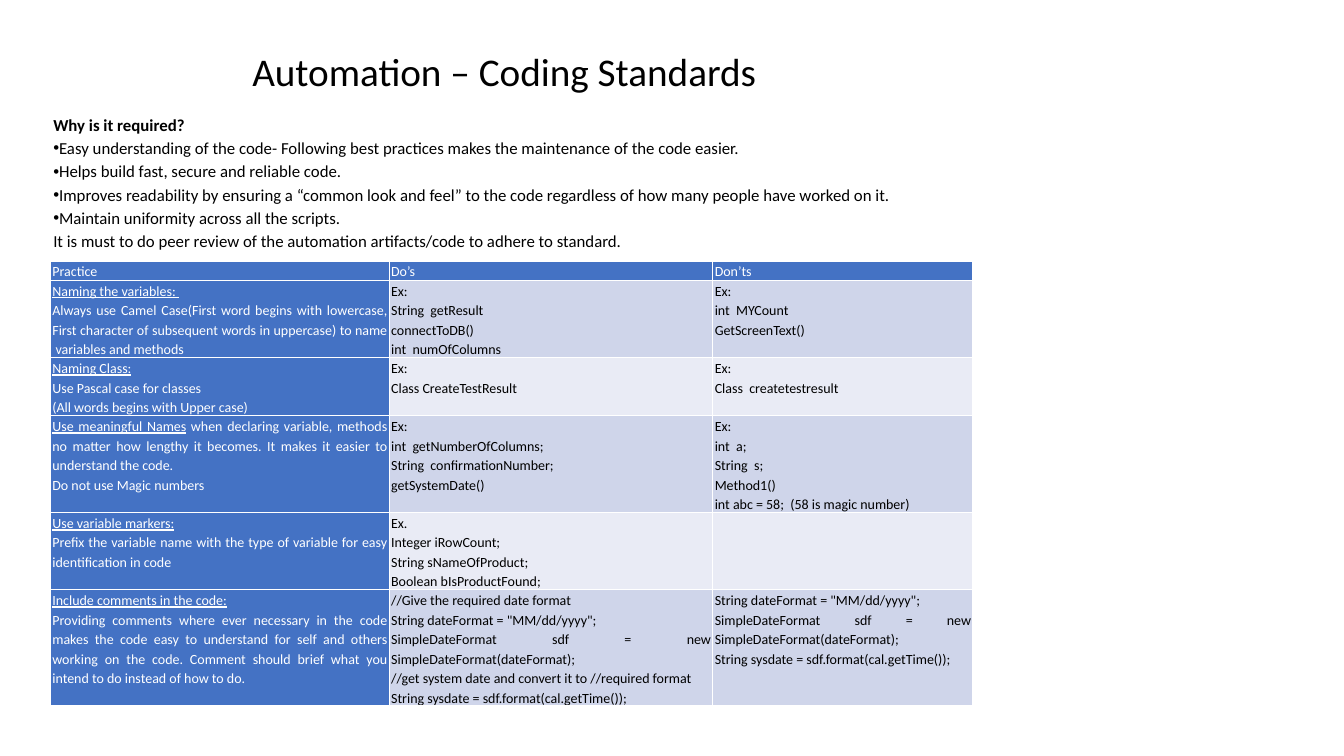
from lxml import etree
from pptx import Presentation, util as u
from pptx.dml.color import RGBColor
from pptx.enum import text
from pptx.oxml.ns import qn

WIDTH, HEIGHT = 13.33, 7.5
BLACK, WHITE = "000000", "FFFFFF"
BLUE, BANDS = "4472C4", ("CFD5EA", "E9EBF5")
JUSTIFY, CENTER = text.PP_ALIGN.JUSTIFY, text.PP_ALIGN.CENTER
LINE_HEIGHT = 0.19

TITLE = "Automation – Coding Standards"
QUESTION = "Why is it required?"
REASONS = [
    "Easy understanding of the code- Following best practices makes the maintenance of the code easier.",
    "Helps build fast, secure and reliable code.",
    "Improves readability by ensuring a “common look and feel” to the code "
    "regardless of how many people have worked on it.",
    "Maintain uniformity across all the scripts.",
]
REVIEW_RULE = "It is must to do peer review of the automation artifacts/code to adhere to standard."

COLUMNS = {"Practice": 3.36, "Do’s": 3.21, "Don’ts": 2.58}
# Each practice: lines it takes, underlined lead, advice, do's, don'ts.
PRACTICES = [
    (4, "Naming the variables:\u00a0",
     "\nAlways use Camel Case(First word begins with lowercase, First character of "
     "subsequent words in uppercase) to name \u00a0variables and methods",
     "Ex:\nString  getResult\nconnectToDB()\nint  numOfColumns",
     "Ex:\nint  MYCount\nGetScreenText()"),
    (3, "Naming Class:",
     "\nUse Pascal case for classes\n(All words begins with Upper case)",
     "Ex:\nClass CreateTestResult",
     "Ex:\nClass  createtestresult"),
    (5, "Use meaningful Names",
     " when declaring variable, methods no matter how lengthy it becomes. "
     "It makes it easier to understand the code.\nDo not use Magic numbers",
     "Ex:\nint  getNumberOfColumns;\nString  confirmationNumber;\ngetSystemDate()",
     "Ex:\nint  a;\nString  s;\nMethod1()\nint abc = 58;  (58 is magic number)"),
    (4, "Use variable markers:",
     "\nPrefix the variable name with the type of variable for easy identification in code",
     "Ex.\nInteger iRowCount;\nString sNameOfProduct;\nBoolean bIsProductFound;",
     ""),
    (6, "Include comments in the code:",
     "\nProviding comments where ever necessary in the code makes the code easy to "
     "understand for self and others working on the code. Comment should brief what "
     "you intend to do instead of how to do.",
     '//Give the required date format\nString dateFormat = "MM/dd/yyyy";\n'
     "SimpleDateFormat sdf = new SimpleDateFormat(dateFormat);\n"
     "//get system date and convert it to //required format\n"
     "String sysdate = sdf.format(cal.getTime());",
     'String dateFormat = "MM/dd/yyyy";\n'
     "SimpleDateFormat sdf = new SimpleDateFormat(dateFormat);\n"
     "String sysdate = sdf.format(cal.getTime());"),
]


def apply(target, **values):
    """Set every given attribute on the target."""
    for name, value in values.items():
        setattr(target, name, value)


def paint(color_format, color):
    """Give a colour format an RGB colour from a hex string."""
    color_format.rgb = RGBColor.from_string(color)


def write(paragraph, words, size, color=BLACK, **font):
    """Add a formatted run to a paragraph."""
    run = paragraph.add_run()
    run.text = words
    apply(run.font, **{"name": "Calibri", "size": u.Pt(size), "bold": False, **font})
    paint(run.font.color, color)


def next_paragraph(frame, first, align=JUSTIFY, spacing=1.15, before=0):
    """Return the first or a new paragraph, with its spacing set."""
    paragraph = frame.paragraphs[0] if first else frame.add_paragraph()
    apply(paragraph, alignment=align, line_spacing=spacing,
          space_before=u.Pt(before), space_after=u.Pt(0))
    return paragraph


def add_bullet(paragraph):
    """Put a bullet directly in front of the paragraph's text."""
    properties = paragraph._p.get_or_add_pPr()
    apply_xml = {"marL": "0", "indent": "0"}
    for name, value in apply_xml.items():
        properties.set(name, value)
    etree.SubElement(properties, qn("a:buFont")).set("typeface", "Arial")
    etree.SubElement(properties, qn("a:buChar")).set("char", "•")


def add_title(slide):
    """Place and fill the title placeholder."""
    title = slide.shapes.title
    apply(title, left=u.Inches(0.5), top=u.Inches(0.3),
          width=u.Inches(9), height=u.Inches(0.69))
    apply(title.text_frame, vertical_anchor=text.MSO_ANCHOR.BOTTOM,
          auto_size=text.MSO_AUTO_SIZE.NONE, word_wrap=True)
    write(next_paragraph(title.text_frame, True, CENTER, 0.9), TITLE, 28)


def add_reasons(slide):
    """Add the question, its bulleted reasons and the review rule."""
    box = slide.shapes.add_textbox(*map(u.Inches, (0.43, 1.11, 9.22, 1.35)))
    frame = box.text_frame
    frame.word_wrap = True
    write(next_paragraph(frame, True, spacing=0.9, before=10), QUESTION, 12, bold=True)
    for reason in REASONS:
        paragraph = next_paragraph(frame, False)
        add_bullet(paragraph)
        write(paragraph, reason, 12)
    write(next_paragraph(frame, False), REVIEW_RULE, 12)


def fill_cell(cell, words, fill, color, lead=""):
    """Fill a cell with lines of text, after an optional underlined lead."""
    cell.fill.solid()
    paint(cell.fill.fore_color, fill)
    apply(cell, margin_left=u.Inches(0.02), margin_right=u.Inches(0.02),
          margin_top=0, margin_bottom=0)
    for index, line in enumerate(words.split("\n")):
        paragraph = next_paragraph(cell.text_frame, index == 0)
        paragraph.font.size = u.Pt(10)
        if lead and index == 0:
            write(paragraph, lead, 10, color, underline=True)
        if line:
            write(paragraph, line, 10, color)


def add_practices(slide):
    """Add the table of practices, with rows as tall as their lines."""
    line_counts = [1] + [practice[0] for practice in PRACTICES]
    size = sum(COLUMNS.values()), sum(line_counts) * LINE_HEIGHT
    table = slide.shapes.add_table(len(line_counts), len(COLUMNS),
                                   *map(u.Inches, (0.5, 2.59, *size))).table
    for row, count in zip(table.rows, line_counts):
        row.height = u.Inches(count * LINE_HEIGHT)
    for index, (heading, width) in enumerate(COLUMNS.items()):
        table.columns[index].width = u.Inches(width)
        fill_cell(table.cell(0, index), heading, BLUE, WHITE)
    for row, (_, lead, advice, dos, donts) in enumerate(PRACTICES, 1):
        fill_cell(table.cell(row, 0), advice, BLUE, WHITE, lead)
        for column, examples in enumerate((dos, donts), 1):
            fill_cell(table.cell(row, column), examples, BANDS[(row - 1) % 2], BLACK)


def main():
    """Build the slide and save it."""
    deck = Presentation()
    apply(deck, slide_width=u.Inches(WIDTH), slide_height=u.Inches(HEIGHT))
    slide = deck.slides.add_slide(deck.slide_layouts.get_by_name("Title Only"))
    add_title(slide)
    add_reasons(slide)
    add_practices(slide)
    deck.save("out.pptx")


main()
